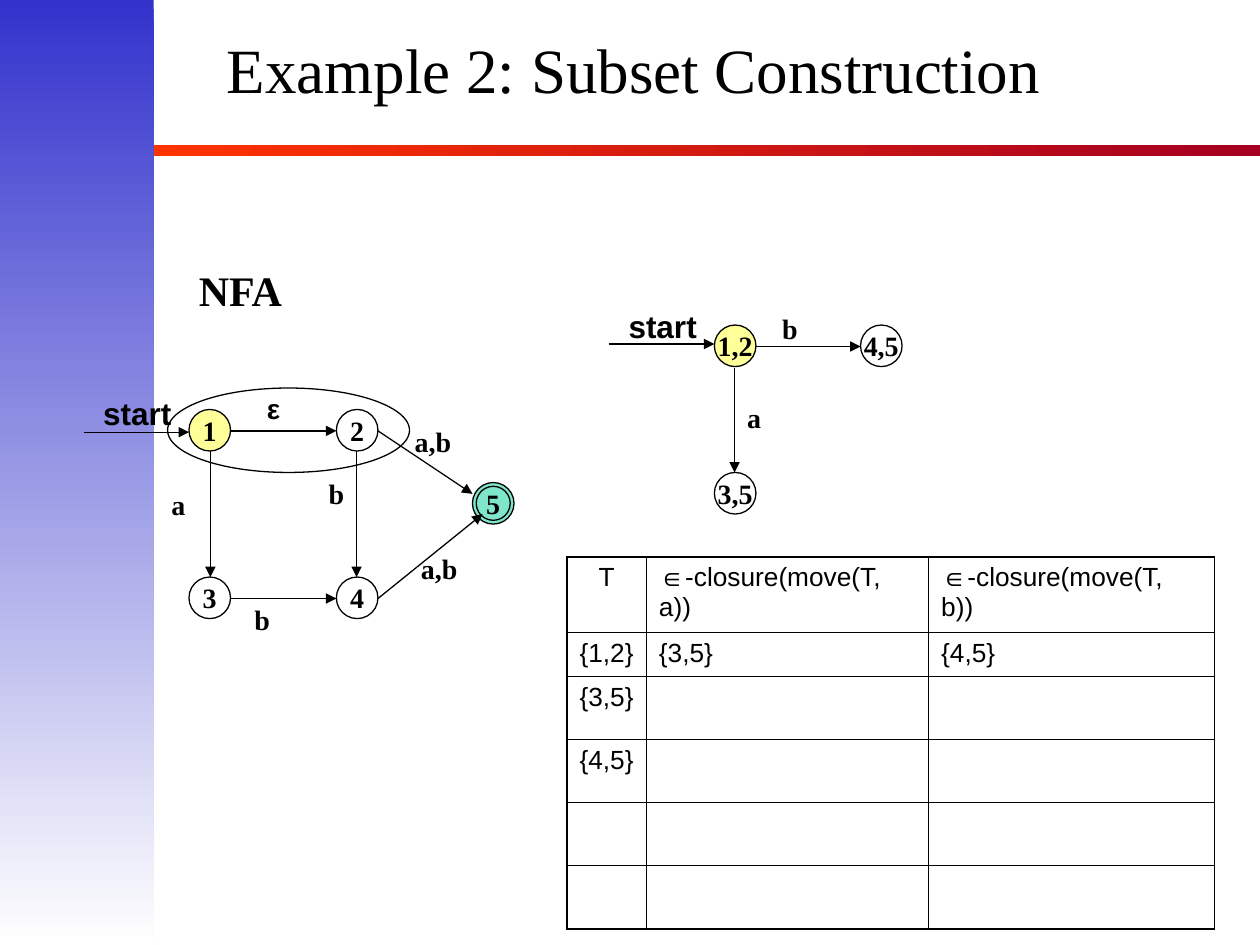
from typing import NamedTuple, Optional

from lxml import etree
from pptx import Presentation
from pptx.dml.color import RGBColor
from pptx.enum.shapes import MSO_CONNECTOR, MSO_SHAPE
from pptx.enum.text import MSO_ANCHOR, PP_ALIGN
from pptx.oxml.ns import qn
from pptx.util import Inches, Pt

STRAIGHT = MSO_CONNECTOR.STRAIGHT
OVAL, RECTANGLE = MSO_SHAPE.OVAL, MSO_SHAPE.RECTANGLE
TOP, MIDDLE = MSO_ANCHOR.TOP, MSO_ANCHOR.MIDDLE
LEFT, CENTER = PP_ALIGN.LEFT, PP_ALIGN.CENTER

COLORS = {
    "ink": "000000", "paper": "FFFFFF", "start": "FFFF99", "accept": "00CC99",
    "blue": "3333CC", "orange": "FF3300", "crimson": "A50021",
}
SERIF, SANS = "Times New Roman", "Arial"
NODE_SIZE = 0.33
THIN, THICK = 0.45, 1.08


class State(NamedTuple):
    name: str
    left: float
    top: float
    color: Optional[str] = None
    alpha: int = 100


class Arrow(NamedTuple):
    x1: float
    y1: float
    x2: float
    y2: float


class Label(NamedTuple):
    text: str
    left: float
    top: float
    width: float
    height: float = 0.37
    size: float = 16
    font: str = SERIF
    align: PP_ALIGN = CENTER


DFA_STATES = [
    State("1,2", 5.67, 2.58, "start"),
    State("4,5", 6.83, 2.58),
    State("3,5", 5.67, 3.75),
]
NFA_STATES = [
    State("1", 1.5, 3.25, "start"),
    State("5", 3.75, 3.83, "accept", 50),
    State("2", 2.67, 3.25, "paper"),
    State("4", 2.67, 4.58, "paper"),
    State("3", 1.5, 4.58, "paper"),
]
DFA_ARROWS = [
    Arrow(6, 2.75, 6.83, 2.75),
    Arrow(5.83, 2.92, 5.83, 3.75),
    Arrow(4.83, 2.73, 5.67, 2.73),
]
NFA_ARROWS = [
    Arrow(1.83, 3.42, 2.67, 3.42),
    Arrow(2.83, 3.58, 2.83, 4.58),
    Arrow(1.67, 3.58, 1.67, 4.58),
    Arrow(1.83, 4.75, 2.67, 4.75),
    Arrow(3, 4.75, 3.83, 4.08),
    Arrow(3, 3.42, 3.75, 3.92),
    Arrow(0.67, 3.43, 1.5, 3.43),
]
LABELS = [
    Label("NFA", 1.48, 2.05, 0.88, 0.5, 24, SERIF, LEFT),
    Label("b", 6.11, 2.42, 0.32),
    Label("a", 5.83, 3.13, 0.31),
    Label("ε", 2.02, 3.06, 0.29, font=SANS),
    Label("b", 1.92, 4.73, 0.32),
    Label("a", 1.26, 3.82, 0.31),
    Label("b", 2.51, 3.73, 0.32),
    Label("a,b", 3.19, 3.32, 0.49),
    Label("a,b", 3.24, 4.33, 0.49),
    Label("start", 0.72, 3.08, 0.74, 0.4, 18, SANS, LEFT),
    Label("start", 4.89, 2.39, 0.74, 0.4, 18, SANS, LEFT),
]
COLUMN_WIDTHS = [0.63, 2.24, 2.27]
ROW_HEIGHTS = [0.6, 0.35, 0.5, 0.5, 0.5, 0.5]
SUBSETS = [
    ["T", "∈-closure(move(T, a))", "∈-closure(move(T, b))"],
    ["{1,2}", "{3,5}", "{4,5}"],
    ["{3,5}", "", ""],
    ["{4,5}", "", ""],
    ["", "", ""],
    ["", "", ""],
]


def rgb(name: str) -> RGBColor:
    return RGBColor.from_string(COLORS[name])


def write(frame, text: str, *, size: float = 16, font: str = SERIF, bold: bool = True,
          align: PP_ALIGN = CENTER, anchor: MSO_ANCHOR = MIDDLE, wrap: bool = False,
          line_spacing: Optional[float] = None) -> None:
    frame.word_wrap = wrap
    frame.vertical_anchor = anchor
    paragraph = frame.paragraphs[0]
    paragraph.text = text
    paragraph.alignment = align
    paragraph.line_spacing = line_spacing
    paragraph.font.size = Pt(size)
    paragraph.font.name = font
    paragraph.font.bold = bold
    paragraph.font.color.rgb = rgb("ink")


def add_text(slide, label: Label, **text_format) -> None:
    box = slide.shapes.add_textbox(*map(Inches, label[1:5]))
    settings = {"size": label.size, "font": label.font, "align": label.align, "anchor": TOP}
    write(box.text_frame, label.text, **{**settings, **text_format})


def add_band(slide, left: float, top: float, width: float, height: float,
             colors: tuple[str, str], angle: float) -> None:
    band = slide.shapes.add_shape(RECTANGLE, *map(Inches, (left, top, width, height)))
    band.shadow.inherit = False
    band.line.fill.background()
    band.fill.gradient()
    band.fill.gradient_angle = angle
    for stop, color in zip(band.fill.gradient_stops, colors):
        stop.color.rgb = rgb(color)


def add_oval(slide, left: float, top: float, width: float, height: float,
             color: Optional[str] = None, alpha: int = 100):
    oval = slide.shapes.add_shape(OVAL, *map(Inches, (left, top, width, height)))
    oval.shadow.inherit = False
    oval.line.color.rgb = rgb("ink")
    oval.line.width = Pt(0.75)
    if color is None:
        oval.fill.background()
        return oval
    oval.fill.solid()
    oval.fill.fore_color.rgb = rgb(color)
    if alpha < 100:
        tone = oval._element.spPr.find(qn("a:solidFill"))[0]
        etree.SubElement(tone, qn("a:alpha"), val=str(alpha * 1000))
    return oval


def add_state(slide, state: State) -> None:
    node = add_oval(slide, state.left, state.top, NODE_SIZE, NODE_SIZE, state.color, state.alpha)
    write(node.text_frame, state.name)


def add_arrow(slide, arrow: Arrow) -> None:
    edge = slide.shapes.add_connector(STRAIGHT, *map(Inches, arrow))
    edge.line.color.rgb = rgb("ink")
    edge.line.width = Pt(0.75)
    etree.SubElement(edge.line._get_or_add_ln(), qn("a:tailEnd"), type="triangle")
    etree.SubElement(edge._element.spPr, qn("a:effectLst"))


def set_borders(cell, widths: dict[str, float]) -> None:
    properties = cell._tc.get_or_add_tcPr()
    for position, (side, width) in enumerate(widths.items()):
        border = etree.Element(qn(f"a:ln{side}"), w=str(Pt(width)))
        fill = etree.SubElement(border, qn("a:solidFill"))
        etree.SubElement(fill, qn("a:srgbClr"), val=COLORS["ink"])
        properties.insert(position, border)


def add_subset_table(slide) -> None:
    last_row, last_column = len(ROW_HEIGHTS) - 1, len(COLUMN_WIDTHS) - 1
    size = sum(COLUMN_WIDTHS), sum(ROW_HEIGHTS)
    table = slide.shapes.add_table(last_row + 1, last_column + 1,
                                   *map(Inches, (4.5, 4.42, *size))).table
    table.first_row = table.horz_banding = False
    for column, width in zip(table.columns, COLUMN_WIDTHS):
        column.width = Inches(width)
    for r, (height, values) in enumerate(zip(ROW_HEIGHTS, SUBSETS)):
        table.rows[r].height = Inches(height)
        for c, value in enumerate(values):
            cell = table.cell(r, c)
            cell.fill.background()
            write(cell.text_frame, value, size=15, font=SANS, bold=False, wrap=True,
                  align=CENTER if value == "T" else LEFT, anchor=TOP)
            cell.text_frame.paragraphs[0].space_before = Pt(3.7 if value else 0)
            outer = {"L": c == 0, "R": c == last_column, "T": r == 0, "B": r == last_row}
            set_borders(cell, {side: THICK if edge else THIN for side, edge in outer.items()})


def main() -> None:
    """Build the subset construction slide."""
    deck = Presentation()
    deck.slide_width, deck.slide_height = Inches(10), Inches(7.5)
    slide = deck.slides.add_slide(deck.slide_layouts[6])
    add_band(slide, 1.2, 1.15, 8.8, 0.09, ("orange", "crimson"), 0)
    add_band(slide, 0, 0, 1.22, 7.5, ("blue", "paper"), 270)
    add_text(slide, Label("Example 2: Subset Construction", 0.33, 0.25, 9.4, 0.7, 36),
             bold=False, anchor=MIDDLE, wrap=True, line_spacing=0.8)
    add_subset_table(slide)
    for state in DFA_STATES + NFA_STATES:
        add_state(slide, state)
    for arrow in DFA_ARROWS + NFA_ARROWS:
        add_arrow(slide, arrow)
    for label in LABELS:
        add_text(slide, label)
    add_oval(slide, 1.33, 3.08, 1.92, 0.67)
    add_oval(slide, 3.78, 3.86, 0.27, 0.27)
    deck.save("out.pptx")


if __name__ == "__main__":
    main()
